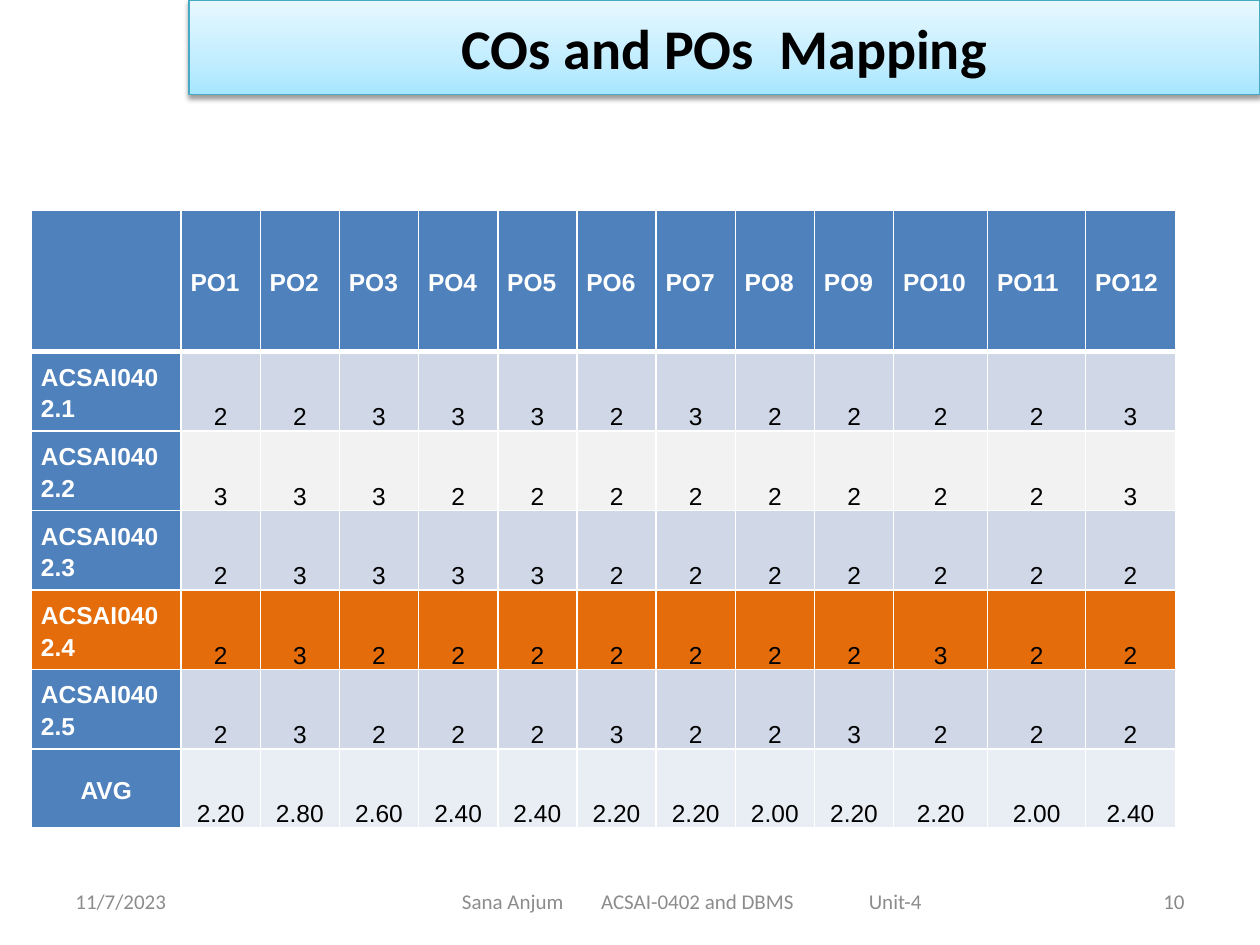
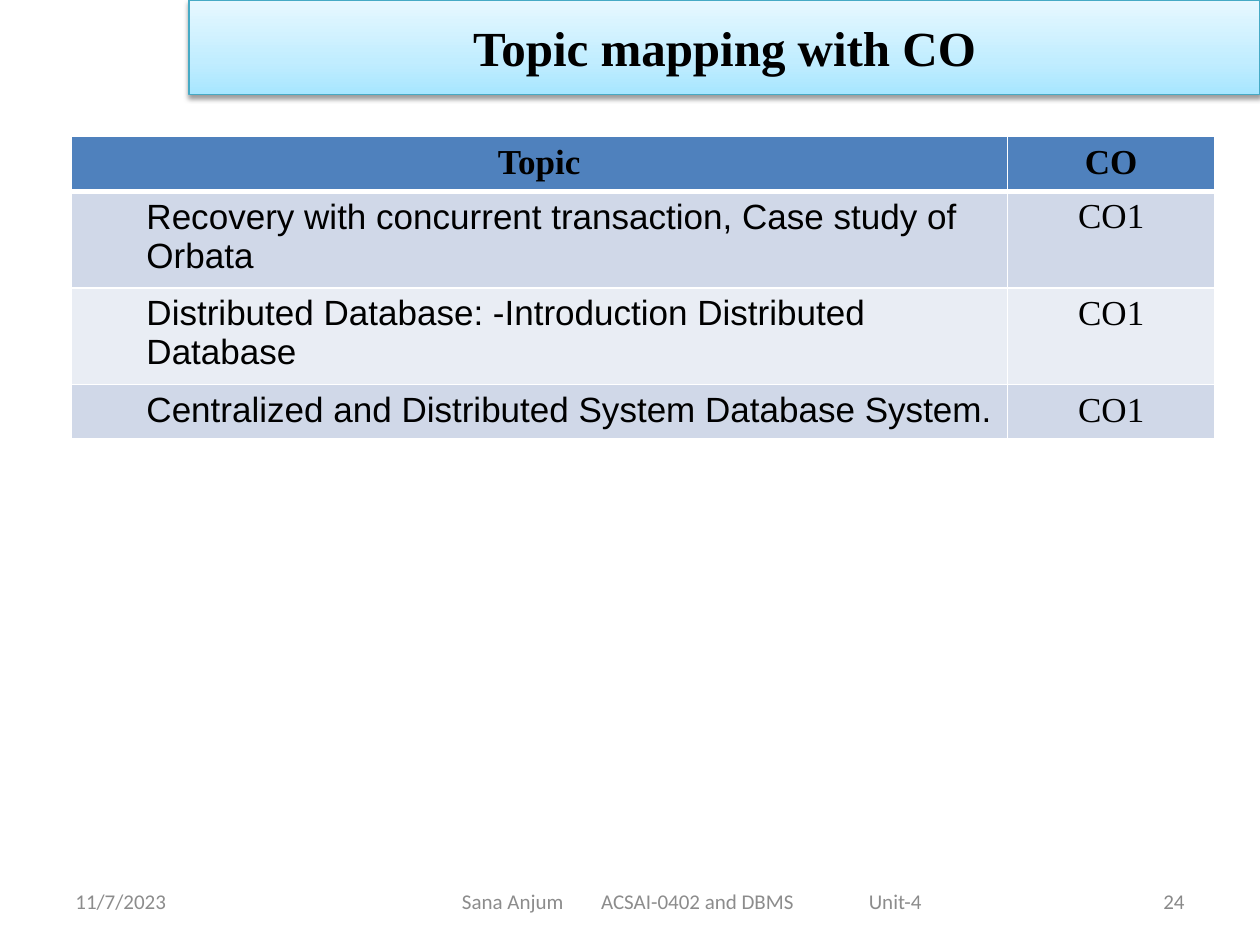
from dataclasses import dataclass
from lxml.etree import SubElement
from pptx import Presentation
from pptx.dml.color import RGBColor
from pptx.enum.shapes import MSO_SHAPE
from pptx.enum.text import MSO_ANCHOR, PP_ALIGN
from pptx.oxml import parse_xml
from pptx.oxml.ns import nsdecls, qn
from pptx.util import Pt


@dataclass(frozen=True)
class Theme:
    black: str = "000000"
    white: str = "FFFFFF"
    footer_grey: str = "8C8C8C"
    number_grey: str = "898989"
    header_blue: str = "4F81BD"
    band_dark: str = "D0D8E8"
    band_light: str = "E9EDF4"
    band_grey: str = "F2F2F2"
    highlight: str = "E46C0A"
    title_line: str = "46AAC5"
    title_stops: tuple = ((0, "A7E6FF"), (35, "C1EDFF"), (100, "E7F8FF"))
    footer_size: int = 12
    rating_size: int = 14
    topic_size: int = 20
    sans: str = "Arial"
    serif: str = "Times New Roman"
    body: str = "Calibri"


theme = Theme()


def write_text(frame, text, font, size, color, bold=False, **paragraph_format):
    """Put one formatted run into the first paragraph and return the paragraph."""
    paragraph = frame.paragraphs[0]
    for attribute, value in paragraph_format.items():
        setattr(paragraph, attribute, value)
    run = paragraph.add_run()
    run.text = text
    for attribute, value in {"name": font, "size": Pt(size), "bold": bold}.items():
        setattr(run.font, attribute, value)
    run.font.color.rgb = RGBColor.from_string(color)
    return paragraph


def style_cell(cell, fill, row, margins, anchor):
    """Set fill, insets and white rules; the rule under the header row is thick."""
    cell.fill.solid()
    cell.fill.fore_color.rgb = RGBColor.from_string(fill)
    cell.vertical_anchor = anchor
    cell.margin_left = cell.margin_right = Pt(margins[0])
    cell.margin_top = cell.margin_bottom = Pt(margins[1])
    widths = {"L": 1, "R": 1, "T": 3 if row == 1 else 1, "B": 3 if row == 0 else 1}
    for position, (side, width) in enumerate(widths.items()):
        cell._tc.get_or_add_tcPr().insert(position, parse_xml(
            f'<a:ln{side} {nsdecls("a")} w="{Pt(width)}"><a:solidFill>'
            f'<a:srgbClr val="{theme.white}"/></a:solidFill></a:ln{side}>'))


deck = Presentation()
deck.slide_width, deck.slide_height = Pt(720), Pt(540)

# Title band and footers on every slide
headings = [
    ("COs and POs  Mapping", theme.body, 32, "10"),
    ("Topic mapping with CO", theme.serif, 28, "24"),
]
slides = []
for title, title_font, title_size, page_number in headings:
    slide = deck.slides.add_slide(deck.slide_layouts[6])
    slides.append(slide)

    footers = [
        (36, 168, "11/7/2023", theme.footer_grey, PP_ALIGN.LEFT),
        (198, 396, "Sana Anjum\tACSAI-0402 and DBMS\tUnit-4",
         theme.footer_grey, PP_ALIGN.LEFT),
        (516, 168, page_number, theme.number_grey, PP_ALIGN.RIGHT),
    ]
    for left, width, text, color, alignment in footers:
        footer = slide.shapes.add_textbox(Pt(left), Pt(500.5), Pt(width), Pt(28.75))
        frame = footer.text_frame
        frame.word_wrap = True
        frame.vertical_anchor = MSO_ANCHOR.MIDDLE
        if "\t" in text:
            frame.margin_left = Pt(66)
            tabs = SubElement(frame.paragraphs[0]._p.get_or_add_pPr(), qn("a:tabLst"))
            for stop in (79.5, 232.5):
                SubElement(tabs, qn("a:tab"), pos=str(Pt(stop)), algn="l")
        write_text(frame, text, theme.body, theme.footer_size, color,
                   alignment=alignment)

    band = slide.shapes.add_shape(MSO_SHAPE.RECTANGLE, Pt(108), 0, Pt(612), Pt(54))
    band.line.color.rgb = RGBColor.from_string(theme.title_line)
    band.line.width = Pt(0.75)
    band.shadow.inherit = False
    band.fill.gradient()
    band.fill.gradient_angle = 90
    stops = band._element.spPr.find(qn("a:gradFill")).find(qn("a:gsLst"))
    for stop in list(stops):
        stops.remove(stop)
    for position, color in theme.title_stops:
        stop = SubElement(stops, qn("a:gs"), pos=str(position * 1000))
        SubElement(stop, qn("a:srgbClr"), val=color)
    band._element.spPr.find(qn("a:effectLst")).append(parse_xml(
        f'<a:outerShdw {nsdecls("a")} blurRad="{Pt(3.1)}" dist="{Pt(1.6)}" '
        f'dir="5400000" rotWithShape="0"><a:srgbClr val="{theme.black}">'
        '<a:alpha val="38000"/></a:srgbClr></a:outerShdw>'))
    band.text_frame.word_wrap = True
    band.text_frame.vertical_anchor = MSO_ANCHOR.MIDDLE
    write_text(band.text_frame, title, title_font, title_size, theme.black, True,
               alignment=PP_ALIGN.CENTER)

mapping_slide, topic_slide = slides

# Course outcome ratings, one digit per programme outcome
ratings = ["223332322223", "333222222223", "233332222222",
           "232222222322", "232223223222"]
averages = [f"{sum(map(int, column)) / len(ratings):.2f}" for column in zip(*ratings)]
mapping_rows = [["", *(f"PO{n}" for n in range(1, 13))]]
mapping_rows += [[f"ACSAI0402.{n}", *row] for n, row in enumerate(ratings, 1)]
mapping_rows.append(["AVG", *averages])
row_fills = [theme.header_blue, theme.band_dark, theme.band_grey, theme.band_dark,
             theme.highlight, theme.band_dark, theme.band_light]
outcome_widths = [85.5] + [45.25] * 9 + [53.75, 56, 51.25]
outcome_heights = [81] + [45.4] * 6

mapping = mapping_slide.shapes.add_table(
    len(mapping_rows), len(outcome_widths), Pt(18), Pt(120),
    Pt(sum(outcome_widths)), Pt(sum(outcome_heights))).table
for column, width in zip(mapping.columns, outcome_widths):
    column.width = Pt(width)
for r, (values, fill) in enumerate(zip(mapping_rows, row_fills)):
    mapping.rows[r].height = Pt(outcome_heights[r])
    for c, value in enumerate(values):
        cell = mapping.cell(r, c)
        is_label = r == 0 or c == 0
        if c == 0 and fill != theme.highlight:
            cell_fill = theme.header_blue
        else:
            cell_fill = fill
        style_cell(cell, cell_fill, r, (5.4, 0),
                   MSO_ANCHOR.MIDDLE if is_label else MSO_ANCHOR.BOTTOM)
        if value:
            centred = not is_label or value == "AVG"
            write_text(cell.text_frame, value, theme.sans, theme.rating_size,
                       theme.white if is_label else theme.black, is_label,
                       alignment=PP_ALIGN.CENTER if centred else PP_ALIGN.LEFT,
                       line_spacing=1.15, space_after=Pt(0 if is_label else 10))

# Topics and the course outcome each one serves
topic_rows = [
    ("Topic", "CO"),
    ("Recovery with concurrent transaction, Case study of Orbata", "CO1"),
    ("Distributed Database: -Introduction Distributed Database", "CO1"),
    ("Centralized and Distributed System Database System.", "CO1"),
]
topic_fills = [theme.header_blue, theme.band_dark, theme.band_light, theme.band_dark]
topic_widths = [535.25, 118.5]
topic_height = 31.2

topics = topic_slide.shapes.add_table(
    len(topic_rows), len(topic_widths), Pt(40.5), Pt(78),
    Pt(sum(topic_widths)), Pt(topic_height * len(topic_rows))).table
for column, width in zip(topics.columns, topic_widths):
    column.width = Pt(width)
for r, (values, fill) in enumerate(zip(topic_rows, topic_fills)):
    topics.rows[r].height = Pt(topic_height)
    for c, value in enumerate(values):
        cell = topics.cell(r, c)
        is_topic = r > 0 and c == 0
        style_cell(cell, fill, r, (7.2, 3.6), MSO_ANCHOR.TOP)
        paragraph = write_text(
            cell.text_frame, value, theme.sans if is_topic else theme.serif,
            theme.topic_size, theme.black, r == 0,
            alignment=PP_ALIGN.LEFT if is_topic else PP_ALIGN.CENTER)
        if is_topic:
            paragraph._p.get_or_add_pPr().set("marL", str(Pt(36)))

deck.save("out.pptx")
